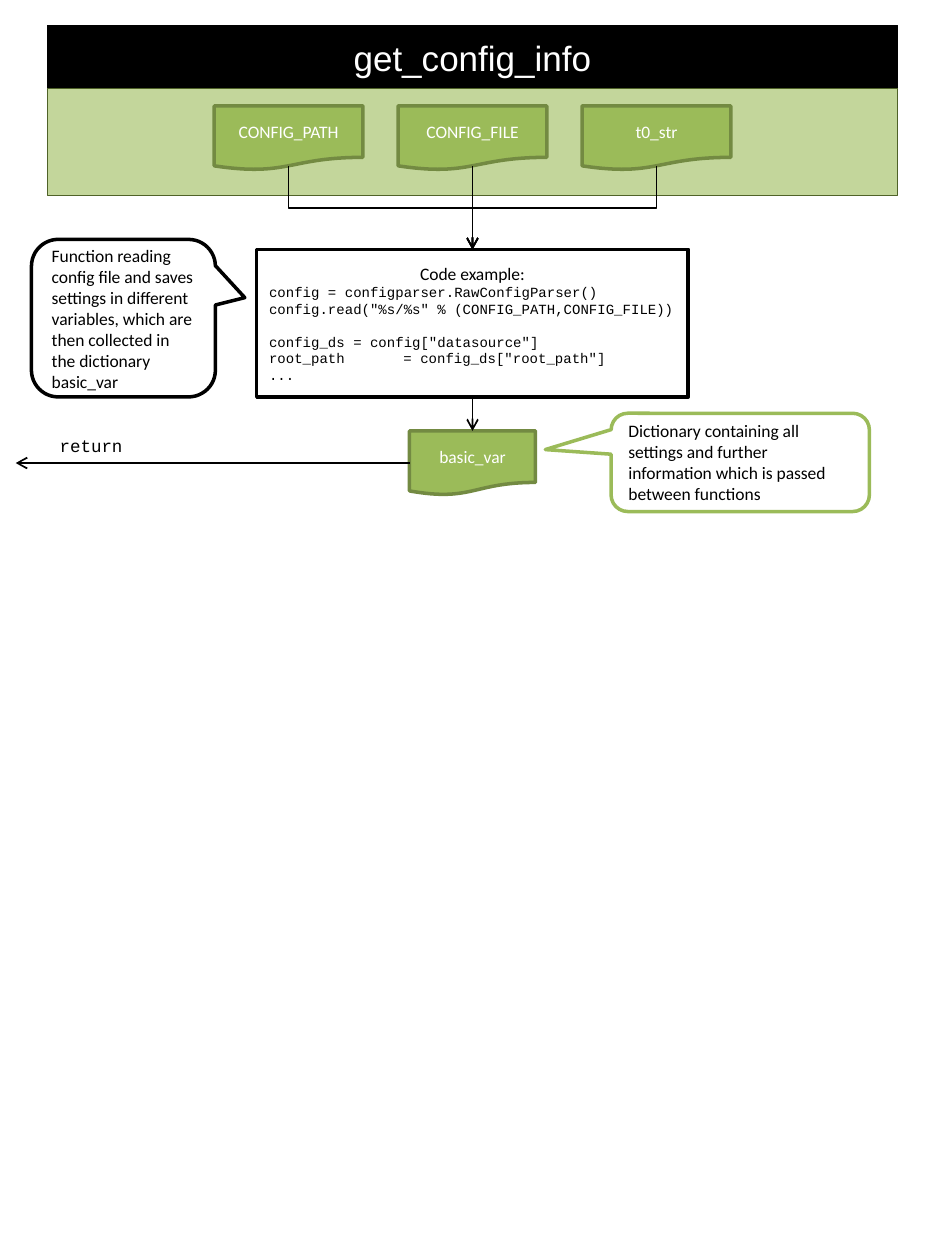
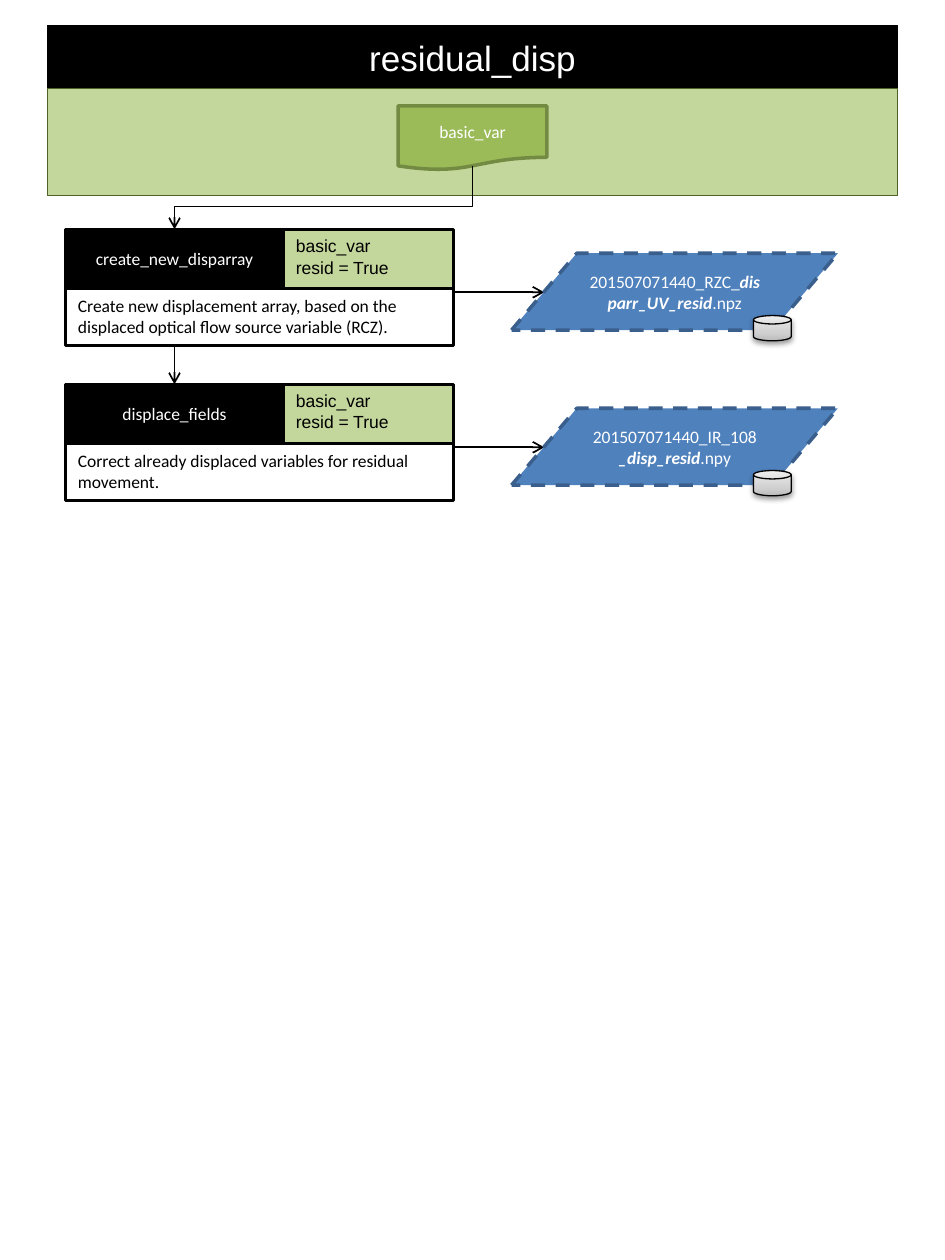
from dataclasses import dataclass
from typing import Optional

from lxml import etree
from pptx import Presentation
from pptx.dml.color import RGBColor
from pptx.enum.dml import MSO_LINE
from pptx.enum.shapes import MSO_CONNECTOR, MSO_SHAPE
from pptx.enum.text import MSO_ANCHOR, PP_ALIGN
from pptx.oxml.ns import qn
from pptx.util import Emu, Inches, Pt

RECT = MSO_SHAPE.RECTANGLE
PROCESS = MSO_SHAPE.FLOWCHART_PROCESS
DOCUMENT = MSO_SHAPE.FLOWCHART_DOCUMENT
DATA = MSO_SHAPE.FLOWCHART_DATA
DISK = MSO_SHAPE.FLOWCHART_MAGNETIC_DISK
CALLOUT = MSO_SHAPE.ROUNDED_RECTANGULAR_CALLOUT
STRAIGHT, ELBOW = MSO_CONNECTOR.STRAIGHT, MSO_CONNECTOR.ELBOW
DASH = MSO_LINE.DASH
LEFT, CENTER = PP_ALIGN.LEFT, PP_ALIGN.CENTER
TOP, MIDDLE = MSO_ANCHOR.TOP, MSO_ANCHOR.MIDDLE

SLIDE_W, SLIDE_H = Inches(7.5), Inches(10)
COLUMNS, ROWS = 60, 80
MID_COLUMN = COLUMNS / 2

COLORS = {
    "black": "000000",
    "white": "FFFFFF",
    "band": "C3D69B",
    "band_edge": "4F6228",
    "variable": "9BBB59",
    "variable_edge": "738A42",
    "file": "4F81BD",
    "file_edge": "3A5F8C",
}
DISK_SHADES = ((0, "BDBDBD"), (35, "D1D1D1"), (100, "EEEEEE"))
BODY, HEADING, CODE = "Calibri", "Arial", "Courier New"

DOC_W, DOC_H, DOC_TOP, DOC_PITCH = 9.44, 4.08, 6.72, 11.68
DOC_EXIT = 10.54  # where arrows leave an input document


@dataclass(frozen=True)
class Area:
    """Place on the slide grid, in columns and rows."""
    left: float
    top: float
    width: float
    height: float

    @property
    def bottom(self) -> float:
        return self.top + self.height


@dataclass(frozen=True)
class Look:
    shape: MSO_SHAPE
    fill: str
    edge: str
    weight: float
    ink: str = "white"
    align: PP_ALIGN = CENTER
    anchor: MSO_ANCHOR = MIDDLE
    font: str = BODY
    size: float = 10
    dash: Optional[MSO_LINE] = None


@dataclass(frozen=True)
class Span:
    text: str
    strong: bool = False


@dataclass(frozen=True)
class Step:
    function: str
    purpose: str
    output: tuple[Span, ...]


HEADER = Look(RECT, "black", "black", 0.75, font=HEADING, size=20)
BAND = Look(RECT, "band", "band_edge", 0.75)
VARIABLE = Look(DOCUMENT, "variable", "variable_edge", 2)
CODE_BOX = Look(PROCESS, "white", "black", 2, ink="black")
FUNCTION_NOTE = Look(CALLOUT, "white", "black", 2, ink="black", align=LEFT)
VARIABLE_NOTE = Look(CALLOUT, "white", "variable", 2, ink="black", align=LEFT)
STEP_NAME = Look(PROCESS, "black", "black", 1.5)
STEP_PURPOSE = Look(PROCESS, "white", "black", 1.5, "black", LEFT, TOP)
STEP_ARGUMENTS = Look(RECT, "band", "black", 1.5, "black", LEFT, TOP, HEADING)
OUTPUT_FILE = Look(DATA, "file", "file_edge", 2, dash=DASH)
STORAGE = Look(DISK, "white", "black", 0.75)

ARGUMENTS = ((Span("basic_var"),), (Span("resid = True"),))
STEP_LEFT, STEP_TOP, STEP_PITCH = 4.16, 14.56, 9.84
NAME_W, NAME_H, STEP_W, PURPOSE_H = 13.84, 3.76, 24.64, 3.6
STEP_MID = STEP_LEFT + NAME_W / 2
STEPS = (
    Step(
        "create_new_disparray",
        "Create new displacement array, based on the displaced optical flow "
        "source variable (RCZ).",
        (Span("201507071440_RZC_"), Span("disparr_UV_resid", True), Span(".npz")),
    ),
    Step(
        "displace_fields",
        "Correct already displaced variables for residual movement.",
        (Span("201507071440_IR_108"), Span("_disp_resid", True), Span(".npy")),
    ),
)


def col(count: float) -> Emu:
    return Emu(round(SLIDE_W * count / COLUMNS))


def row(count: float) -> Emu:
    return Emu(round(SLIDE_H * count / ROWS))


def rgb(name: str) -> RGBColor:
    return RGBColor.from_string(COLORS[name])


def place(area: Area) -> tuple[Emu, Emu, Emu, Emu]:
    return col(area.left), row(area.top), col(area.width), row(area.height)


def add_run(paragraph, text: str, font: str, size: float, ink: str,
            strong: bool = False) -> None:
    run = paragraph.add_run()
    run.text = text
    run.font.name = font
    run.font.size = Pt(size)
    run.font.color.rgb = rgb(ink)
    if strong:
        run.font.bold = run.font.italic = True


def draw(slide, area: Area, look: Look, *paragraphs: tuple[Span, ...]):
    """Add a styled shape; each further argument is one paragraph of spans."""
    shape = slide.shapes.add_shape(look.shape, *place(area))
    shape.shadow.inherit = False
    shape.fill.solid()
    shape.fill.fore_color.rgb = rgb(look.fill)
    shape.line.color.rgb = rgb(look.edge)
    shape.line.width = Pt(look.weight)
    if look.dash is not None:
        shape.line.dash_style = look.dash
    frame = shape.text_frame
    frame.word_wrap = True
    frame.vertical_anchor = look.anchor
    for index, spans in enumerate(paragraphs):
        paragraph = frame.add_paragraph() if index else frame.paragraphs[0]
        paragraph.alignment = look.align
        for span in spans:
            add_run(paragraph, span.text, look.font, look.size, look.ink, span.strong)
    return shape


def draw_callout(slide, area: Area, look: Look, text: str, tip_x: float) -> None:
    callout = draw(slide, area, look, (Span(text),))
    for index, value in enumerate((tip_x, -0.13, 0.17)):
        callout.adjustments[index] = value


def style_arrow(connector) -> None:
    connector.line.color.rgb = rgb("black")
    connector.line.width = Pt(1)
    line = connector.line._get_or_add_ln()
    etree.SubElement(line, qn("a:tailEnd"), type="arrow")
    etree.SubElement(connector._element.spPr, qn("a:effectLst"))


def arrow(slide, x1: float, y1: float, x2: float, y2: float) -> None:
    style_arrow(slide.shapes.add_connector(STRAIGHT, col(x1), row(y1), col(x2), row(y2)))


def bent_arrow(slide, x1: float, y1: float, x2: float, y2: float,
               bend: float = 0.5) -> None:
    """Arrow that runs down, across and down: an elbow turned by a quarter."""
    mid_x, mid_y = col((x1 + x2) / 2), row((y1 + y2) / 2)
    half_w, half_h = row(y2 - y1) // 2, col(abs(x2 - x1)) // 2
    to_right = x2 > x1
    if to_right:
        half_w = -half_w
    connector = slide.shapes.add_connector(
        ELBOW, mid_x - half_w, mid_y - half_h, mid_x + half_w, mid_y + half_h)
    properties = connector._element.spPr
    properties.find(qn("a:xfrm")).set("rot", str((270 if to_right else 90) * 60000))
    guides = properties.find(qn("a:prstGeom")).find(qn("a:avLst"))
    etree.SubElement(guides, qn("a:gd"), name="adj1", fmla=f"val {round(bend * 100000)}")
    style_arrow(connector)


def draw_storage(slide, area: Area) -> None:
    disk = draw(slide, area, STORAGE)
    disk.fill.gradient()
    disk.fill.gradient_angle = 90
    properties = disk._element.spPr
    stops = next(properties.iter(qn("a:gsLst")))
    for stop in list(stops):
        stops.remove(stop)
    for position, shade in DISK_SHADES:
        stop = etree.SubElement(stops, qn("a:gs"), pos=str(position * 1000))
        etree.SubElement(stop, qn("a:srgbClr"), val=shade)
    shadow = etree.SubElement(
        properties.find(qn("a:effectLst")), qn("a:outerShdw"),
        blurRad=str(Pt(3.1)), dist=str(Pt(1.6)), dir=str(90 * 60000), rotWithShape="0")
    tint = etree.SubElement(shadow, qn("a:srgbClr"), val=COLORS["black"])
    etree.SubElement(tint, qn("a:alpha"), val="38000")


def start_slide(deck, function: str, inputs: tuple[str, ...]):
    """Add a slide with its header, input band and centred row of inputs.

    Returns the slide and the middle column of each input.
    """
    slide = deck.slides.add_slide(deck.slide_layouts[6])
    draw(slide, Area(3, 1.6, 54, 4.16), HEADER, (Span(function),))
    draw(slide, Area(3, 5.6, 54, 6.8), BAND)
    first = MID_COLUMN - DOC_PITCH * (len(inputs) - 1) / 2
    middles = [first + DOC_PITCH * index for index in range(len(inputs))]
    for middle, name in zip(middles, inputs):
        area = Area(middle - DOC_W / 2, DOC_TOP, DOC_W, DOC_H)
        draw(slide, area, VARIABLE, (Span(name),))
    return slide, middles


def draw_code(slide, area: Area) -> None:
    frame = draw(slide, area, CODE_BOX, (Span("Code example:"),)).text_frame
    blocks = (
        ("config = configparser.RawConfigParser()",
         'config.read("%s/%s" % (CONFIG_PATH,CONFIG_FILE))'),
        ('config_ds = config["datasource"]',
         'root_path\t= config_ds["root_path"]',
         "..."),
    )
    for block_index, block in enumerate(blocks):
        for line_index, code in enumerate(block):
            paragraph = frame.add_paragraph()
            paragraph.alignment = LEFT
            if block_index and not line_index:
                paragraph.space_before = Pt(9)
            if "\t" in code:
                tabs = etree.SubElement(paragraph._p.get_or_add_pPr(), qn("a:tabLst"))
                etree.SubElement(tabs, qn("a:tab"), pos=str(Pt(76.8)), algn="l")
            add_run(paragraph, code, CODE, 8, "black")


def build_config_slide(deck) -> None:
    slide, (path_mid, file_mid, time_mid) = start_slide(
        deck, "get_config_info", ("CONFIG_PATH", "CONFIG_FILE", "t0_str"))
    code = Area(16.3, 15.84, 27.4, 9.36)
    result = Area(26, 27.36, 8, DOC_H)
    draw_code(slide, code)
    draw(slide, result, VARIABLE, (Span("basic_var"),))
    for middle in (path_mid, time_mid):
        bent_arrow(slide, middle, DOC_EXIT, MID_COLUMN, code.top)
    arrow(slide, file_mid, DOC_EXIT, MID_COLUMN, code.top)
    arrow(slide, MID_COLUMN, code.bottom, MID_COLUMN, result.top)
    result_mid = result.top + result.height / 2
    arrow(slide, result.left, result_mid, 1, result_mid)

    label = slide.shapes.add_textbox(*place(Area(3, 27.2, 5.68, 2.16))).text_frame
    label.word_wrap = False
    add_run(label.paragraphs[0], "return", CODE, 10, "black")

    draw_callout(slide, Area(38.8, 26.24, 16.4, 6.24), VARIABLE_NOTE,
                 "Dictionary containing all settings and further information "
                 "which is passed between functions", -0.755)
    draw_callout(slide, Area(2, 15.2, 11.68, 10), FUNCTION_NOTE,
                 "Function reading config file and saves settings in different "
                 "variables, which are then collected in the dictionary basic_var", 0.66)


def draw_step(slide, step: Step, top: float) -> None:
    arrow(slide, 28.56, top + 4, 34.56, top + 4)
    draw(slide, Area(STEP_LEFT, top, NAME_W, NAME_H), STEP_NAME, (Span(step.function),))
    draw(slide, Area(STEP_LEFT, top + NAME_H, STEP_W, PURPOSE_H), STEP_PURPOSE,
         (Span(step.purpose),))
    draw(slide, Area(STEP_LEFT + NAME_W, top, STEP_W - NAME_W, NAME_H),
         STEP_ARGUMENTS, *ARGUMENTS)
    draw(slide, Area(32.48, top + 1.52, 20.72, 4.88), OUTPUT_FILE, step.output)
    draw_storage(slide, Area(47.84, top + 5.48, 2.4, 1.6))


def build_residual_slide(deck) -> None:
    slide, (input_mid,) = start_slide(deck, "residual_disp", ("basic_var",))
    for index, step in enumerate(STEPS):
        top = STEP_TOP + STEP_PITCH * index
        draw_step(slide, step, top)
        if index:
            arrow(slide, STEP_MID, top - STEP_PITCH + NAME_H + PURPOSE_H, STEP_MID, top)
    bent_arrow(slide, input_mid, DOC_EXIT, STEP_MID, STEP_TOP, 0.64)


def main() -> None:
    deck = Presentation()
    deck.slide_width, deck.slide_height = SLIDE_W, SLIDE_H
    build_config_slide(deck)
    build_residual_slide(deck)
    deck.save("out.pptx")


if __name__ == "__main__":
    main()
